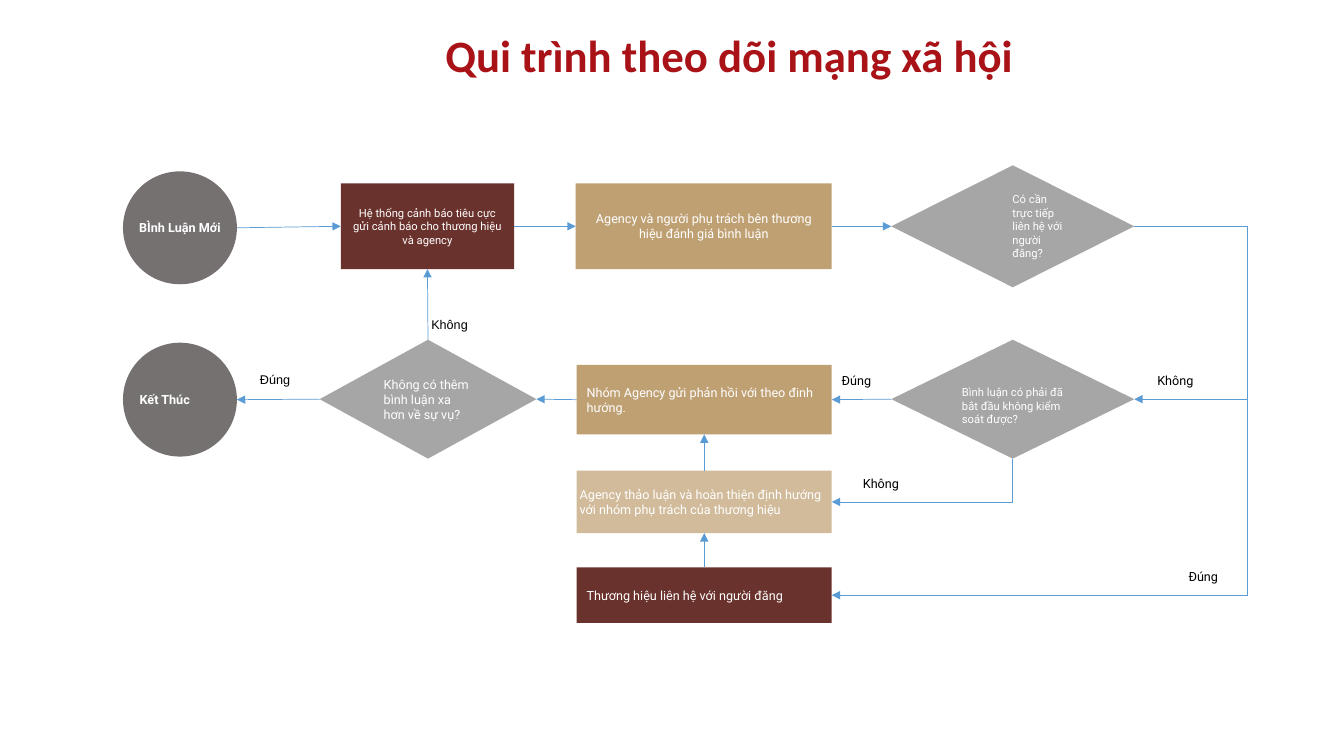
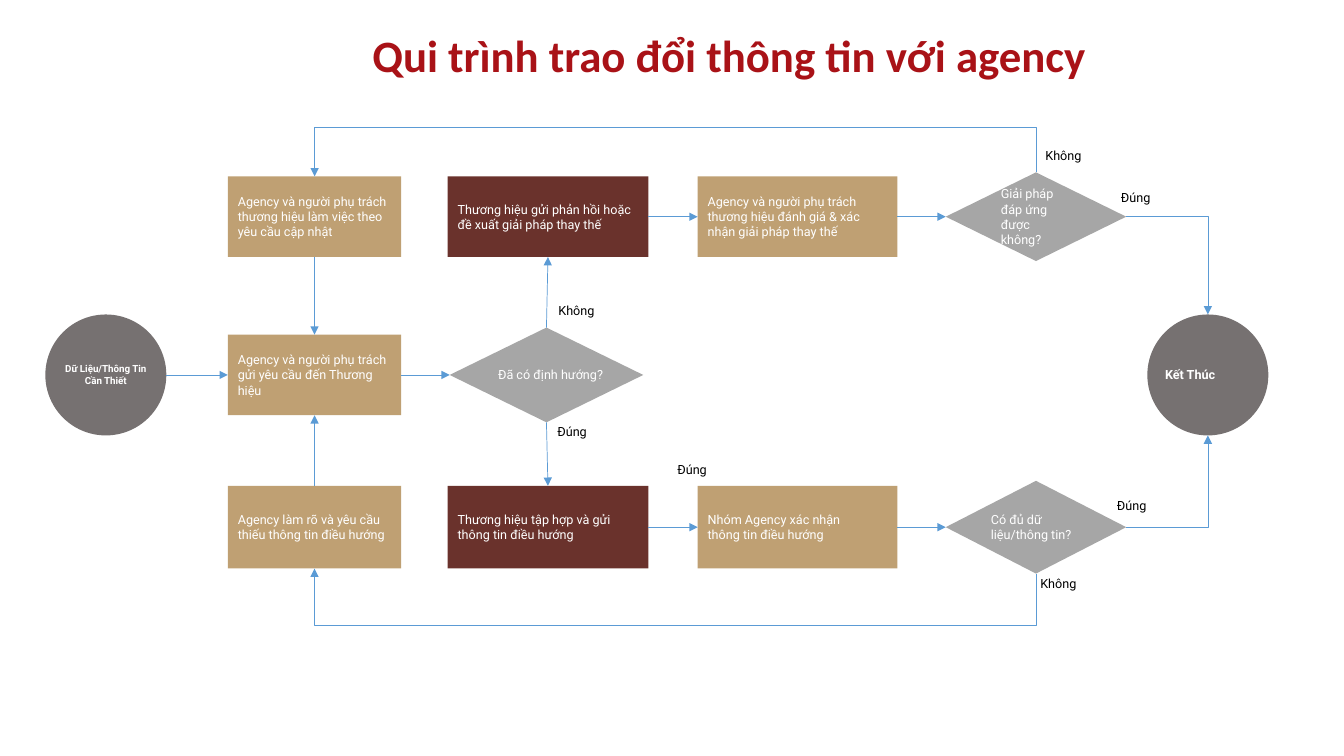
from lxml import etree
from pptx import Presentation
from pptx.dml.color import RGBColor
from pptx.enum.shapes import MSO_CONNECTOR, MSO_SHAPE
from pptx.enum.text import MSO_ANCHOR, MSO_AUTO_SIZE, PP_ALIGN
from pptx.oxml.ns import qn
from pptx.util import Inches, Pt

RECT, OVAL = MSO_SHAPE.RECTANGLE, MSO_SHAPE.OVAL
DIAMOND, CHOICE = MSO_SHAPE.DIAMOND, MSO_SHAPE.FLOWCHART_DECISION
STRAIGHT, ELBOW = MSO_CONNECTOR.STRAIGHT, MSO_CONNECTOR.ELBOW
LEFT, CENTER = PP_ALIGN.LEFT, PP_ALIGN.CENTER
MIDDLE, FIXED = MSO_ANCHOR.MIDDLE, MSO_AUTO_SIZE.NONE

RED, BROWN, TAN, SAND = "A91217", "6A322C", "BFA073", "D1BB9B"
GREY, SILVER, BLUE = "767171", "A6A6A6", "5B9BD5"
WHITE, BLACK = "FFFFFF", "000000"
INSET = (0.1, 0.05, 0.1, 0.05)
NONE = (0, 0, 0, 0)
SIDES = {"left": (0, 0.5), "right": (1, 0.5), "top": (0.5, 0), "bottom": (0.5, 1)}


def rgb(code):
    return RGBColor.from_string(code)


def write(frame, text, size=9, color=WHITE, font="Roboto", bold=False,
          align=LEFT, inset=INSET, wrap=True, indent=0):
    """Fill a text frame, one paragraph for each line of text."""
    frame.word_wrap = wrap
    frame.auto_size = FIXED
    frame.vertical_anchor = MIDDLE
    (frame.margin_left, frame.margin_top,
     frame.margin_right, frame.margin_bottom) = map(Inches, inset)
    for i, line in enumerate(text.split("\n")):
        para = frame.add_paragraph() if i else frame.paragraphs[0]
        para.text = line
        para.alignment = align
        if indent:
            props = para._p.get_or_add_pPr()
            props.set("marL", str(Inches(indent)))
            props.set("indent", "0")
        for run in para.runs:
            run.font.size = Pt(size)
            run.font.name = font
            run.font.bold = bold
            run.font.color.rgb = rgb(color)


def start(deck, text):
    """Add a slide with its title."""
    slide = deck.slides.add_slide(deck.slide_layouts[5])
    title = slide.shapes.title
    title.left, title.top = Inches(3.21), Inches(0.26)
    title.width, title.height = Inches(8.05), Inches(0.56)
    write(title.text_frame, text, size=32, color=RED, font="Calibri",
          bold=True, align=CENTER, inset=(0.03,) * 4)
    return slide


def node(slide, kind, fill, box, text, **style):
    shape = slide.shapes.add_shape(kind, *map(Inches, box))
    shape.shadow.inherit = False
    shape.fill.solid()
    shape.fill.fore_color.rgb = rgb(fill)
    shape.line.fill.background()
    write(shape.text_frame, text, **style)
    return shape


def disc(slide, box, text, **style):
    return node(slide, OVAL, GREY, box, text, bold=True, inset=NONE, **style)


def label(slide, x, y, text, **style):
    box = slide.shapes.add_textbox(*map(Inches, (x, y, 0.7, 0.25)))
    write(box.text_frame, text, color=BLACK, **style)


def edge(shape, side):
    """Middle of one side of a shape."""
    fx, fy = SIDES[side]
    return shape.left + fx * shape.width, shape.top + fy * shape.height


def arrow(slide, kind, tail, tip):
    line = slide.shapes.add_connector(kind, *map(round, (*tail, *tip)))
    line.line.color.rgb = rgb(BLUE)
    line.line.width = Pt(0.5)
    head = etree.SubElement(line.line._get_or_add_ln(), qn("a:tailEnd"))
    head.set("type", "triangle")
    etree.SubElement(line._element.spPr, qn("a:effectLst"))
    return line


def link(slide, src, out, dst, into):
    arrow(slide, STRAIGHT, edge(src, out), edge(dst, into))


def bend(slide, src, out, dst, into, via=None):
    """Elbow arrow: one turn, or two turns with the middle part at via."""
    (x1, y1), (x2, y2) = edge(src, out), edge(dst, into)
    dx, dy = x2 - x1, y2 - y1
    upright = out in ("top", "bottom")
    # An upright start is a sideways elbow turned by 90 degrees.
    run, rise = (dy, -dx) if upright else (dx, dy)
    cx, cy = (x1 + x2) / 2, (y1 + y2) / 2
    line = arrow(slide, ELBOW, (cx - run / 2, cy - rise / 2),
                 (cx + run / 2, cy + rise / 2))
    props = line._element.spPr
    if upright:
        props.find(qn("a:xfrm")).set("rot", "5400000")
    geom = props.find(qn("a:prstGeom"))
    if via is None:
        geom.set("prst", "bentConnector2")
    else:
        share = (Inches(via) - (y1 if upright else x1)) / run
        guide = etree.SubElement(geom.find(qn("a:avLst")), qn("a:gd"))
        guide.set("name", "adj1")
        guide.set("fmla", f"val {round(share * 100000)}")


def watch(deck):
    slide = start(deck, "Qui trình theo dõi mạng xã hội")
    new = disc(slide, (1.22, 1.7, 1.13, 1.12), "BÌnh Luận Mới",
               align=CENTER, wrap=False)
    alert = node(slide, RECT, BROWN, (3.38, 1.82, 1.72, 0.85),
                 "Hệ thống cảnh báo tiêu cực gửi cảnh báo cho thương hiệu và agency",
                 size=8, align=CENTER)
    rate = node(slide, RECT, TAN, (5.71, 1.82, 2.54, 0.85),
                "Agency và người phụ trách bên thương hiệu đánh giá bình luận",
                align=CENTER)
    need = node(slide, DIAMOND, SILVER, (8.84, 1.64, 2.41, 1.21),
                "Có cần trực tiếp liên hệ với người đăng?", size=8, indent=0.5)
    end = disc(slide, (1.22, 3.4, 1.13, 1.13), "Kết Thúc")
    more = node(slide, DIAMOND, SILVER, (3.17, 3.37, 2.15, 1.18),
                "Không có thêm bình luận xa hơn về sự vụ?")
    reply = node(slide, RECT, TAN, (5.72, 3.62, 2.53, 0.69),
                 "Nhóm Agency gửi phản hồi với theo đinh hướng.")
    wild = node(slide, DIAMOND, SILVER, (8.84, 3.37, 2.41, 1.18),
                "Bình luận có phải đã bắt đầu không kiểm soát được?",
                size=8, inset=(0.1, 0.18, 0.1, 0.05))
    talk = node(slide, RECT, SAND, (5.72, 4.67, 2.53, 0.62),
                "Agency thảo luận và hoàn thiện định hướng với nhóm phụ trách "
                "của thương hiệu", inset=(0.03, 0, 0.03, 0))
    call = node(slide, RECT, BROWN, (5.72, 5.63, 2.53, 0.55),
                "Thương hiệu liên hệ với người đăng")

    for src, dst in ((new, alert), (alert, rate), (rate, need)):
        link(slide, src, "right", dst, "left")
    for src, dst in ((wild, reply), (reply, more), (more, end)):
        link(slide, src, "left", dst, "right")
    for src, dst in ((call, talk), (talk, reply), (more, alert)):
        link(slide, src, "top", dst, "bottom")
    bend(slide, need, "right", call, "right", via=12.37)
    bend(slide, wild, "bottom", talk, "right")
    tip = edge(wild, "right")
    arrow(slide, STRAIGHT, (Inches(12.37), tip[1]), tip)

    label(slide, 2.48, 3.64, "Đúng", font="Arial")
    label(slide, 4.18, 3.09, "Không", font="Arial")
    for x, y, text in ((8.25, 3.65, "Đúng"), (11.38, 3.65, "Không"),
                       (8.46, 4.67, "Không"), (11.69, 5.59, "Đúng")):
        label(slide, x, y, text)


def share(deck):
    slide = start(deck, "Qui trình trao đổi thông tin với agency")
    data = disc(slide, (0.45, 3.12, 1.2, 1.2), "Dữ Liệu/Thông Tin\nCần Thiết",
                size=7, align=CENTER, wrap=False)
    end = disc(slide, (11.38, 3.12, 1.2, 1.2), "Kết Thúc", wrap=False)
    work = node(slide, RECT, TAN, (2.26, 1.75, 1.72, 0.8),
                "Agency và người phụ trách thương hiệu làm việc theo yêu cầu cập nhật")
    offer = node(slide, RECT, BROWN, (4.44, 1.75, 1.99, 0.8),
                 "Thương hiệu gửi phản hồi hoặc đề xuất giải pháp thay thế")
    rate = node(slide, RECT, TAN, (6.92, 1.75, 1.98, 0.8),
                "Agency và người phụ trách thương hiệu đánh giá & xác nhận "
                "giải pháp thay thế")
    fit = node(slide, CHOICE, SILVER, (9.38, 1.71, 1.79, 0.88),
               "Giải pháp đáp ứng được không?")
    ask = node(slide, RECT, TAN, (2.26, 3.32, 1.72, 0.8),
               "Agency và người phụ trách gửi yêu cầu đến Thương hiệu")
    plan = node(slide, CHOICE, SILVER, (4.46, 3.25, 1.92, 0.94),
                "Đã có định hướng?", inset=NONE, wrap=False)
    clear = node(slide, RECT, TAN, (2.26, 4.82, 1.72, 0.82),
                 "Agency làm rõ và yêu cầu thiếu thông tin điều hướng")
    send = node(slide, RECT, BROWN, (4.44, 4.82, 1.99, 0.82),
                "Thương hiệu tập hợp và gửi thông tin điều hướng")
    check = node(slide, RECT, TAN, (6.92, 4.82, 1.98, 0.82),
                 "Nhóm Agency xác nhận\nthông tin điều hướng")
    full = node(slide, CHOICE, SILVER, (9.38, 4.77, 1.79, 0.92),
                "Có đủ dữ liệu/thông tin?", inset=NONE)

    for src, dst in ((data, ask), (ask, plan), (offer, rate), (rate, fit),
                     (send, check), (check, full)):
        link(slide, src, "right", dst, "left")
    for src, dst in ((clear, ask), (plan, offer)):
        link(slide, src, "top", dst, "bottom")
    for src, dst in ((work, ask), (plan, send)):
        link(slide, src, "bottom", dst, "top")
    bend(slide, fit, "top", work, "top", via=1.27)
    bend(slide, full, "bottom", clear, "bottom", via=6.2)
    bend(slide, fit, "right", end, "top")
    bend(slide, full, "right", end, "bottom")

    for x, y, text in ((10.27, 1.42, "Không"), (11.02, 1.83, "Đúng"),
                       (5.44, 2.95, "Không"), (5.43, 4.16, "Đúng"),
                       (6.62, 4.53, "Đúng"), (10.98, 4.89, "Đúng"),
                       (10.22, 5.66, "Không")):
        label(slide, x, y, text)


def main():
    deck = Presentation()
    deck.slide_width, deck.slide_height = Inches(13.33), Inches(7.5)
    watch(deck)
    share(deck)
    deck.save("out.pptx")


if __name__ == "__main__":
    main()
